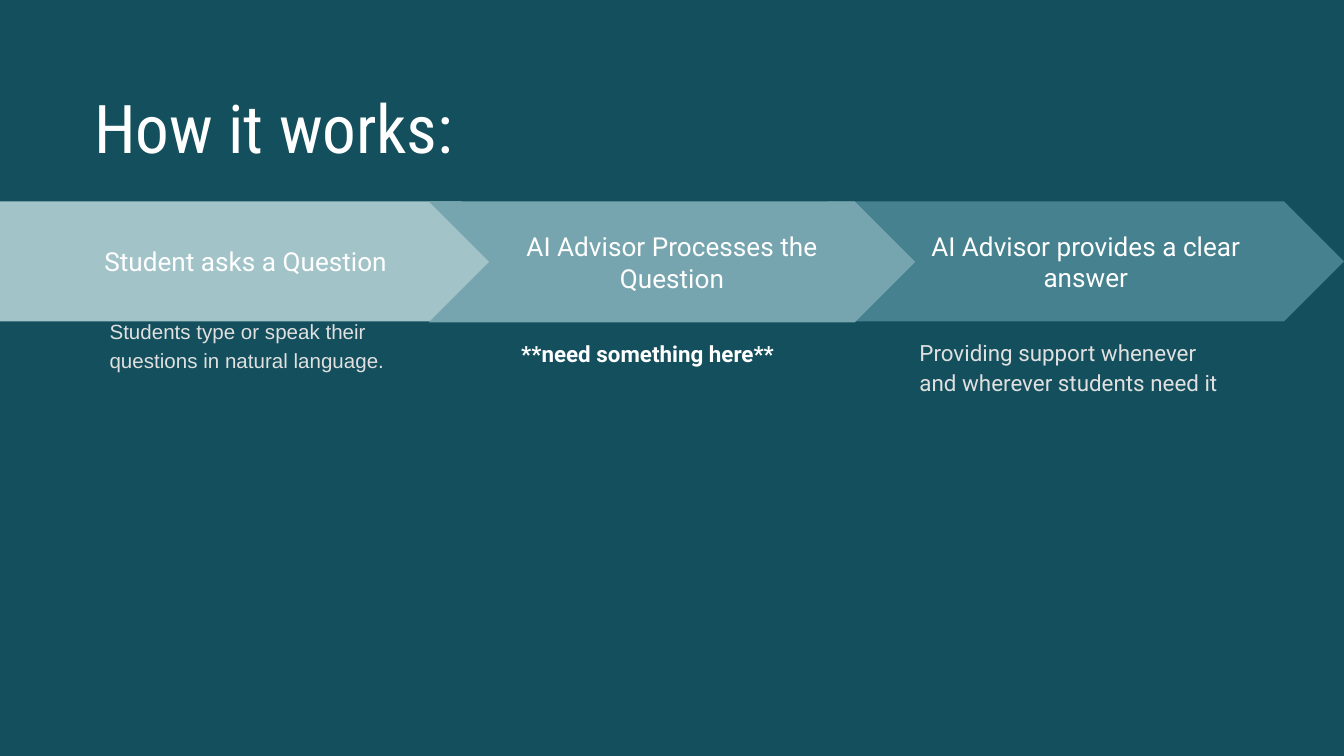
from dataclasses import dataclass

from pptx import Presentation
from pptx.dml.color import RGBColor
from pptx.enum.shapes import MSO_SHAPE as Shape
from pptx.enum.text import MSO_ANCHOR as Anchor, MSO_AUTO_SIZE as AutoSize, PP_ALIGN as Align
from pptx.util import Inches, Pt

# Widescreen, 16:9
SLIDE_W = Inches(10)
SLIDE_H = SLIDE_W * 9 // 16


@dataclass(frozen=True)
class Theme:
    background: str = "134F5C"
    white: str = "FFFFFF"
    muted: str = "E0E0E0"
    light: str = "A2C4C9"
    medium: str = "76A5AF"
    dark: str = "45818E"
    title_font: str = "Roboto Condensed"
    body_font: str = "Roboto"
    plain_font: str = "Arial"
    title_size: int = 36
    step_size: int = 14
    note_size: int = 12
    small_size: int = 11


@dataclass(frozen=True)
class Box:
    """A rectangle in percent of the slide's width and height."""
    left: float
    top: float
    width: float
    height: float

    def emu(self) -> tuple[int, int, int, int]:
        return (round(SLIDE_W * self.left / 100), round(SLIDE_H * self.top / 100),
                round(SLIDE_W * self.width / 100), round(SLIDE_H * self.height / 100))


@dataclass(frozen=True)
class Style:
    font: str
    size: int
    color: str
    bold: bool = False


@dataclass(frozen=True)
class Step:
    label: str
    note: str
    outline: Shape
    fill: str
    arrow: Box
    note_left: float
    note_top: float
    note_style: Style
    note_format: dict


THEME = Theme()
TITLE_BOX = Box(6, 9.6, 88, 14.93)
TITLE_STYLE = Style(THEME.title_font, THEME.title_size, THEME.white)
STEP_STYLE = Style(THEME.body_font, THEME.step_size, THEME.white)

ARROW_TOP, ARROW_H, MIDDLE_H = 26.65, 15.85, 16
NOTE_W, NOTE_H = 24.5, 50.84
NOTE_FORMAT = {"line_spacing": 1.15}

# Back to front: the middle arrow overlaps both of its neighbours
STEPS = [
    Step("AI Advisor provides a clear answer",
         "Providing support whenever and wherever students need it",
         Shape.CHEVRON, THEME.dark, Box(61.6, ARROW_TOP, 38.4, ARROW_H),
         67.43, ARROW_TOP + ARROW_H,
         Style(THEME.body_font, THEME.note_size, THEME.muted), NOTE_FORMAT),
    Step("Student asks a Question",
         "Students type or speak their questions in natural language.",
         Shape.PENTAGON, THEME.light, Box(0, ARROW_TOP, 38.8, ARROW_H),
         7.17, 40, Style(THEME.plain_font, THEME.small_size, THEME.muted),
         NOTE_FORMAT | {"space_before": Pt(12), "space_after": Pt(12)}),
    Step("AI Advisor Processes the Question",
         "**need something here**",
         Shape.CHEVRON, THEME.medium, Box(31.9, ARROW_TOP, 36.2, MIDDLE_H),
         37.8, ARROW_TOP + MIDDLE_H,
         Style(THEME.body_font, THEME.note_size, THEME.white, True), NOTE_FORMAT),
]


def write(sp, text: str, style: Style, anchor: Anchor, **paragraph_format) -> None:
    """Put one styled paragraph into a shape."""
    tf = sp.text_frame
    inset = Inches(0.1)
    frame_format = {"word_wrap": True, "auto_size": AutoSize.NONE, "vertical_anchor": anchor,
                    "margin_left": inset, "margin_right": inset,
                    "margin_top": inset, "margin_bottom": inset}
    for name, value in frame_format.items():
        setattr(tf, name, value)
    p = tf.paragraphs[0]
    for name, value in paragraph_format.items():
        setattr(p, name, value)
    r = p.add_run()
    r.text = text
    font_format = {"name": style.font, "size": Pt(style.size), "bold": style.bold}
    for name, value in font_format.items():
        setattr(r.font, name, value)
    r.font.color.rgb = RGBColor.from_string(style.color)


def draw_title(slide, text: str) -> None:
    sp = slide.shapes.title
    sp.left, sp.top, sp.width, sp.height = TITLE_BOX.emu()
    write(sp, text, TITLE_STYLE, Anchor.TOP, alignment=Align.LEFT, space_after=Pt(16))


def draw_step(slide, step: Step) -> None:
    # Arrow with its label
    sp = slide.shapes.add_shape(step.outline, *step.arrow.emu())
    sp.shadow.inherit = False
    sp.adjustments[0] = 0.5
    sp.fill.solid()
    sp.fill.fore_color.rgb = RGBColor.from_string(step.fill)
    sp.line.fill.background()
    write(sp, step.label, STEP_STYLE, Anchor.MIDDLE, alignment=Align.CENTER)

    # Note below the arrow
    box = Box(step.note_left, step.note_top, NOTE_W, NOTE_H)
    sp = slide.shapes.add_textbox(*box.emu())
    write(sp, step.note, step.note_style, Anchor.TOP, **step.note_format)


def main() -> None:
    prs = Presentation()
    prs.slide_width, prs.slide_height = SLIDE_W, SLIDE_H
    slide = prs.slides.add_slide(prs.slide_layouts.get_by_name("Title Only"))
    fill = slide.background.fill
    fill.solid()
    fill.fore_color.rgb = RGBColor.from_string(THEME.background)

    draw_title(slide, "How it works:")
    for step in STEPS:
        draw_step(slide, step)
    prs.save("out.pptx")


if __name__ == "__main__":
    main()
